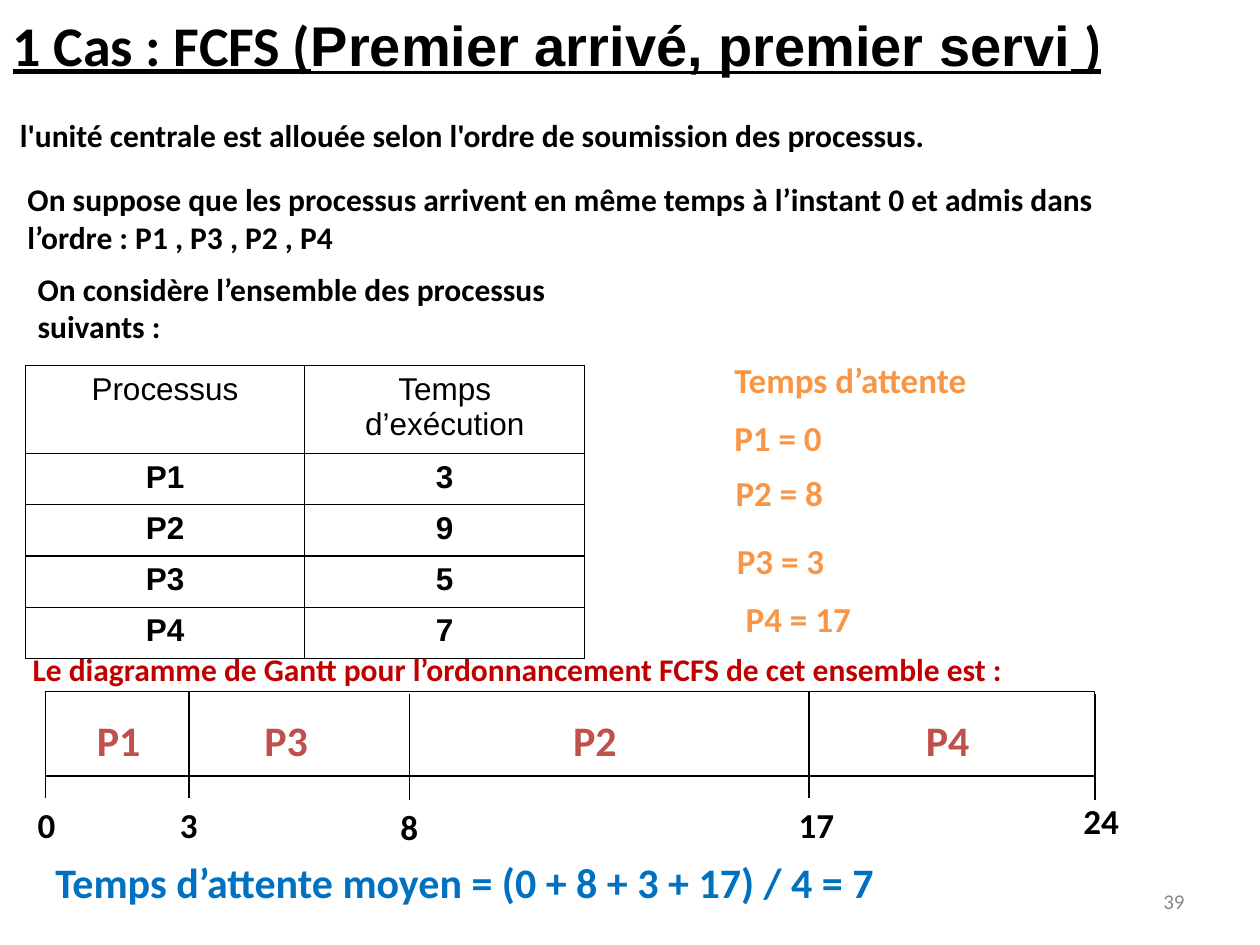
"""Build the slide on FCFS scheduling with its process table and Gantt diagram."""
from lxml import etree
from pptx import Presentation
from pptx import util as u
from pptx.dml import color as c
from pptx.enum import shapes, text
from pptx.oxml import ns

THEME = {
    "body_font": "Calibri", "table_font": "Arial",
    "black": "000000", "white": "FFFFFF", "orange": "F79646", "brick": "C0504D",
    "red": "C00000", "blue": "0070C0", "grey": "888888",
    "title": 32, "large": 24, "medium": 20, "body": 18, "small": 12, "line": 0.75,
}

deck = Presentation()
deck.slide_width, deck.slide_height = u.Inches(10), u.Inches(7.5)
column, row = deck.slide_width / 100, deck.slide_height / 75
page = deck.slides.add_slide(deck.slide_layouts[5])
black = c.RGBColor.from_string(THEME["black"])


def write(para, message, size="body", color="black", font="body_font", bold=True, underline=None):
    """Add one formatted span to a paragraph."""
    span = para.add_run()
    span.text = message
    span.font.name, span.font.size = THEME[font], u.Pt(THEME[size])
    span.font.bold, span.font.underline = bold, underline
    span.font.color.rgb = c.RGBColor.from_string(THEME[color])


def place(message, left, top, width, height, wrap=True, **look):
    """Add a text box measured in grid columns and rows."""
    box = page.shapes.add_textbox(
        round(left * column), round(top * row), round(width * column), round(height * row))
    box.text_frame.word_wrap = wrap
    write(box.text_frame.paragraphs[0], message, **look)
    return box


title = page.shapes.title
title.left, title.top = 0, round(0.3 * row)
title.width, title.height = deck.slide_width, round(6.4 * row)
title.text_frame.vertical_anchor = text.MSO_ANCHOR.TOP
title.text_frame.auto_size = text.MSO_AUTO_SIZE.NONE
heading = title.text_frame.paragraphs[0]
heading.alignment = text.PP_ALIGN.LEFT
for message, font, bold in (
    ("1 Cas : FCFS (", "body_font", True),
    ("Premier arrivé, premier servi", "table_font", True),
    (" ", "body_font", False),
    (")", "body_font", True),
):
    write(heading, message, size="title", font=font, bold=bold, underline=True)

place("l'unité centrale est allouée selon l'ordre de soumission des processus.", 0.6, 8.7, 88.6, 4)
place("On suppose que les processus arrivent en même temps à l’instant 0 et admis dans "
      "l’ordre : P1 , P3 , P2 , P4", 1.2, 13.8, 90, 7.1)
place("On considère l’ensemble des processus suivants :", 2, 20.9, 46.8, 7.1)

records = [("Processus", "Temps d’exécution"), ("P1", "3"), ("P2", "9"), ("P3", "5"), ("P4", "7")]
table = page.shapes.add_table(
    len(records), 2, round(2 * column), round(29 * row),
    round(44.4 * column), round(20.3 * row)).table
table.first_row = table.horz_banding = False
for r, record in enumerate(records):
    for k, value in enumerate(record):
        cell = table.cell(r, k)
        cell.fill.background()
        para = cell.text_frame.paragraphs[0]
        para.alignment = text.PP_ALIGN.CENTER
        write(para, value, font="table_font", bold=r > 0)
        properties = cell._tc.get_or_add_tcPr()
        for index, side in enumerate(("lnL", "lnR", "lnT", "lnB")):
            border = etree.Element(ns.qn(f"a:{side}"), w=str(u.Pt(THEME["line"])))
            fill = etree.SubElement(border, ns.qn("a:solidFill"))
            etree.SubElement(fill, ns.qn("a:srgbClr"), val=THEME["black"])
            properties.insert(index, border)

for message, left, top in (
    ("Temps d’attente", 57.3, 28), ("P1 = 0", 57.3, 32.6), ("P2 = 8", 57.4, 36.9),
    ("P3 = 3", 57.5, 42.3), ("P4 = 17", 58.2, 46.9),
):
    place(message, left, top, 22.7, 4.4, size="medium", color="orange")

place("Le diagramme de Gantt pour l’ordonnancement FCFS de cet ensemble est :",
      1.6, 51.1, 84.8, 4, color="red")
gantt = page.shapes.add_shape(
    shapes.MSO_SHAPE.RECTANGLE, round(3.6 * column), round(54.9 * row),
    round(83.3 * column), round(6.7 * row))
gantt.shadow.inherit = False
gantt.fill.solid()
gantt.fill.fore_color.rgb = c.RGBColor.from_string(THEME["white"])
gantt.line.color.rgb, gantt.line.width = black, u.Pt(THEME["line"])

for moment, tick, top, left, label_top, width in (
    ("0", 3.6, 54.9, 2, 63.3, 3.4), ("3", 15, 54.9, 13.3, 63.3, 3.4),
    ("8", 32.5, 55.1, 30.8, 63.4, 3.4), ("17", 64.2, 54.9, 62.4, 63.3, 4.9),
    ("24", 86.9, 55.1, 85, 63, 4.9),
):
    line = page.shapes.add_connector(
        shapes.MSO_CONNECTOR.STRAIGHT, round(tick * column), round(top * row),
        round(tick * column), round((top + 8.4) * row))
    line.line.color.rgb, line.line.width = black, u.Pt(THEME["line"])
    etree.SubElement(line._element.spPr, ns.qn("a:effectLst"))
    place(moment, left, label_top, width, 4.4, wrap=False, size="medium")

for process, left in (("P1", 6.7), ("P3", 20), ("P2", 44.5), ("P4", 72.5)):
    place(process, left, 56.2, 5.5, 5, wrap=False, size="large", color="brick")

place("Temps d’attente moyen = (0 + 8 + 3 + 17) / 4 = 7", 3.4, 67.5, 90.8, 5,
      size="large", color="blue")
number = place("39", 71.7, 69.5, 23.3, 4, size="small", color="grey", bold=False)
number.text_frame.vertical_anchor = text.MSO_ANCHOR.MIDDLE
number.text_frame.paragraphs[0].alignment = text.PP_ALIGN.RIGHT

deck.save("out.pptx")
